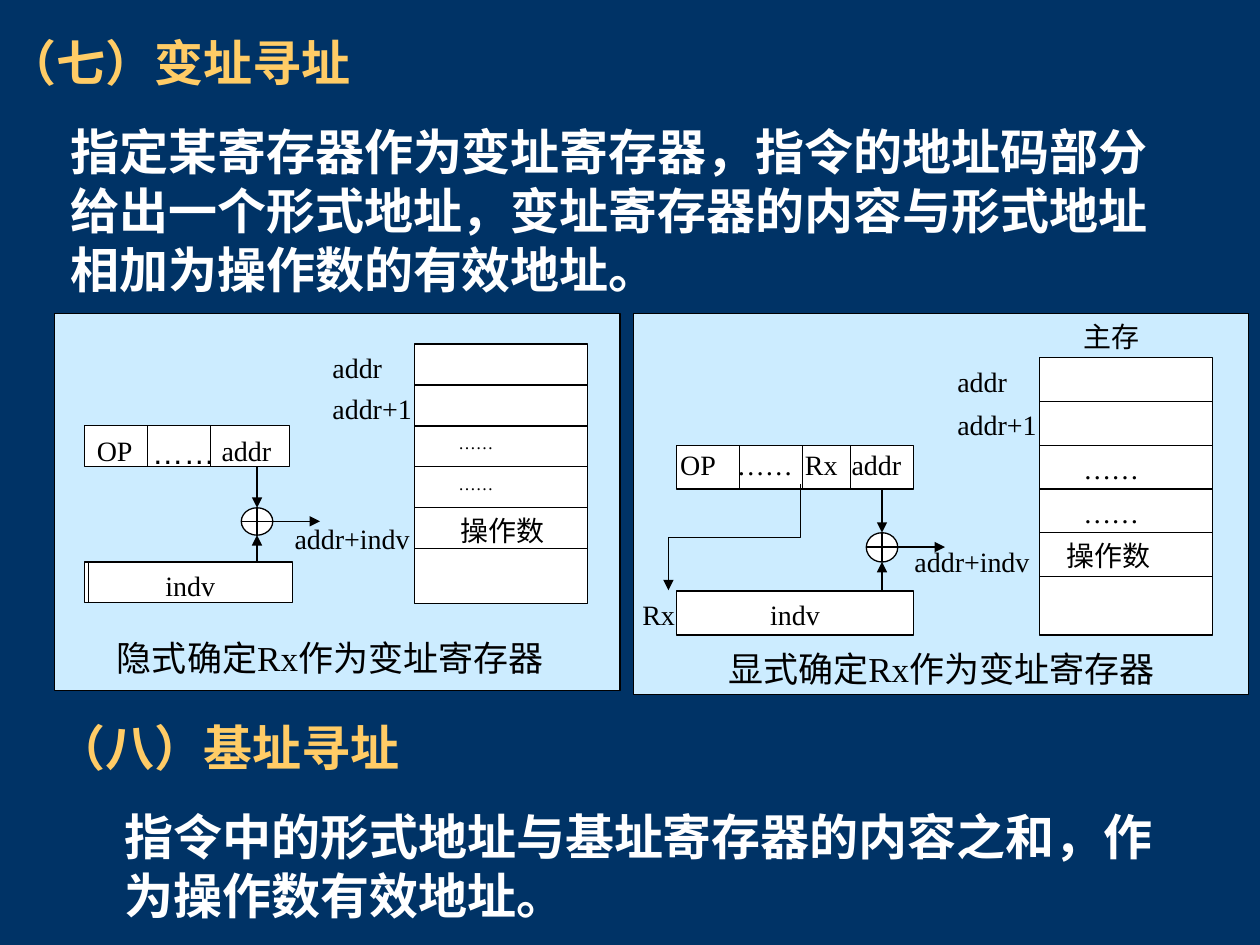
from dataclasses import dataclass
from typing import NamedTuple

from pptx import Presentation
from pptx.dml.color import RGBColor
from pptx.enum.shapes import MSO_CONNECTOR, MSO_SHAPE
from pptx.enum.text import MSO_ANCHOR, MSO_AUTO_SIZE, PP_ALIGN
from pptx.oxml.ns import qn
from pptx.util import Inches, Pt
from lxml import etree

RECT, OVAL = MSO_SHAPE.RECTANGLE, MSO_SHAPE.OVAL
LINE, ELBOW = MSO_CONNECTOR.STRAIGHT, MSO_CONNECTOR.ELBOW
LEFT, MID = PP_ALIGN.LEFT, PP_ALIGN.CENTER
TOP, FIXED = MSO_ANCHOR.TOP, MSO_AUTO_SIZE.NONE

NAVY, GOLD, PALE, WHITE, BLACK = "003366", "FFCC66", "CCECFF", "FFFFFF", "000000"
SANS, SERIF, ARIAL = "Noto Sans CJK JP", "Times New Roman", "Arial"
COL = 0.125
MEM = 11 * COL


class Field(NamedTuple):
    x: float
    text: str
    size: float = 16
    face: str = SERIF


class Spot(NamedTuple):
    x: float
    y: float


class Box(NamedTuple):
    x: float
    y: float
    w: float
    h: float


@dataclass
class Panel:
    frame: Box
    mem: Spot
    tall: float
    row: float
    code: float
    wide: float
    cuts: list[float]
    top: float
    fields: list[Field]
    index: Box
    hub: float
    total: Spot
    dots: float
    size: float
    data: float
    note: str
    foot: Spot

    def y(self, rows: float) -> float:
        return self.mem.y + rows * self.row


def paint(code: str) -> RGBColor:
    return RGBColor.from_string(code)


def write(frame, text: str, size: float = 16, face: str = SERIF,
          color: str = BLACK, bold: bool = False, align=LEFT,
          more: bool = False, left: float = 0, pitch: float | None = None,
          before: float = 0) -> None:
    frame.word_wrap = True
    frame.auto_size = FIXED
    frame.vertical_anchor = TOP
    para = frame.add_paragraph() if more else frame.paragraphs[0]
    props = para._p.get_or_add_pPr()
    props.set("marL", str(Inches(left)))
    props.set("indent", "0")
    para.alignment = align
    para.space_before = Pt(before)
    if pitch:
        para.line_spacing = Pt(pitch)
    etree.SubElement(props, qn("a:buNone"))
    run = para.add_run()
    run.text = text
    font = run.font
    font.size, font.bold, font.name = Pt(size), bold, face
    font.color.rgb = paint(color)
    east = etree.SubElement(run._r.get_or_add_rPr(), qn("a:ea"))
    east.set("typeface", face if "…" in text else SANS)


def label(host, box: Box, text: str, **style) -> None:
    write(host.add_textbox(*map(Inches, box)).text_frame, text, **style)


def block(host, box: Box, fill: str = WHITE, kind=RECT):
    shape = host.add_shape(kind, *map(Inches, box))
    shape.shadow.inherit = False
    shape.fill.solid()
    shape.fill.fore_color.rgb = paint(fill)
    shape.line.color.rgb = paint(BLACK)
    shape.line.width = Pt(0.75)
    return shape


def link(host, start: Spot, end: Spot, arrow: bool = False, kind=LINE, turn: int = 0) -> None:
    wire = host.add_connector(kind, *map(Inches, (*start, *end)))
    wire.line.color.rgb = paint(BLACK)
    wire.line.width = Pt(0.75)
    props = wire._element.spPr
    if turn:
        props.find(qn("a:xfrm")).set("rot", str(turn * 60000))
    if arrow:
        etree.SubElement(props.find(qn("a:ln")), qn("a:tailEnd"), type="triangle")
    etree.SubElement(props, qn("a:effectLst"))


def draw(host, p: Panel) -> None:
    x, y = p.mem.x, p.y
    block(host, p.frame, PALE)
    block(host, Box(*p.mem, MEM, p.tall))
    for row in range(1, 6):
        link(host, Spot(x, y(row)), Spot(x + MEM, y(row)))
    for row, text in enumerate(("addr", "addr+1")):
        label(host, Box(x - 6 * COL, y(row), 7 * COL, p.row), text)
    for row in (2, 3):
        label(host, Box(p.dots, y(row), 8 * COL, p.row), "……", size=p.size)
    label(host, Box(p.data, y(4), 9 * COL, p.row), "操作数")

    block(host, Box(p.code, y(2), p.wide, p.row))
    for cut in p.cuts:
        link(host, Spot(cut, y(2)), Spot(cut, y(3)))
    for f in p.fields:
        label(host, Box(f.x, p.top, 6 * COL, p.row), f.text, size=f.size, face=f.face)

    if p.index.x != p.code:
        block(host, Box(p.code, p.index.y, p.wide, p.index.h))
    write(block(host, p.index).text_frame, "indv", align=MID)

    hub, high, mid, low, base = p.hub, y(4), y(4.33), y(4.67), y(5.33)
    block(host, Box(hub - COL, high, 2 * COL, low - high), kind=OVAL)
    link(host, Spot(hub - COL, mid), Spot(hub + COL, mid))
    link(host, Spot(hub, high), Spot(hub, low))
    link(host, Spot(hub, y(3)), Spot(hub, high), arrow=True)
    link(host, Spot(hub, base), Spot(hub, low), arrow=True)
    link(host, Spot(hub + COL, mid), Spot(hub + 4 * COL, mid), arrow=True)
    label(host, Box(*p.total, 12 * COL, 3 * COL), "addr+indv")
    label(host, Box(*p.foot, 3.94, 0.17), p.note, size=20)


def place(shape, box: Box):
    shape.left, shape.top, shape.width, shape.height = map(Inches, box)
    return shape.text_frame


IMPLIED = Panel(
    frame=Box(0.43, 2.49, 4.49, 2.99), mem=Spot(3.29, 2.73), tall=2.06, row=0.325,
    code=0.67, wide=1.63, cuts=[1.17, 1.67], top=3.39,
    fields=[Field(0.67, "OP"), Field(1.11, "……", 18, ARIAL), Field(1.66, "addr")],
    index=Box(0.7, 4.46, 1.62, 0.32), hub=2.04, total=Spot(2.24, 4.09),
    dots=3.54, size=10, data=3.56,
    note="隐式确定Rx作为变址寄存器", foot=Spot(0.83, 5))

STATED = Panel(
    frame=Box(5.03, 2.49, 4.88, 3.02), mem=Spot(8.25, 2.84), tall=2.2, row=0.347,
    code=5.37, wide=1.88, cuts=[5.87, 6.37, 6.75], top=3.5,
    fields=[Field(5.3, "OP"), Field(5.75, "……"), Field(6.29, "Rx"), Field(6.66, "addr")],
    index=Box(5.37, 4.69, 1.88, 0.35), hub=7, total=Spot(7.16, 4.27),
    dots=8.5, size=16, data=8.37,
    note="显式确定Rx作为变址寄存器", foot=Spot(5.68, 5.09))


def main() -> None:
    deck = Presentation()
    deck.slide_width, deck.slide_height = Inches(10), Inches(7.5)
    slide = deck.slides.add_slide(deck.slide_layouts[3])
    slide.background.fill.solid()
    slide.background.fill.fore_color.rgb = paint(NAVY)

    head = dict(size=28, face=SANS, bold=True, color=GOLD, pitch=33.7)
    body = head | dict(color=WHITE)
    title, intro, base = slide.placeholders
    write(place(title, Box(-0.04, 0.21, 9.25, 0.6)), "（七）变址寻址", **head)
    write(place(intro, Box(0.46, 0.91, 8.8, 1.54)),
          "指定某寄存器作为变址寄存器，指令的地址码部分给出一个形式地址，"
          "变址寄存器的内容与形式地址相加为操作数的有效地址。", **body)
    frame = place(base, Box(0.35, 5.64, 9.25, 1.8))
    write(frame, "（八）基址寻址", **head)
    write(frame, "指令中的形式地址与基址寄存器的内容之和，作为操作数有效地址。",
          more=True, left=0.54, before=17.5, **body)

    for panel in (IMPLIED, STATED):
        host = slide.shapes.add_group_shape().shapes
        draw(host, panel)
    label(host, Box(8.5, 2.49, 7 * COL, 0.35), "主存")
    label(host, Box(5, 4.69, 5 * COL, 0.35), "Rx")
    link(host, Spot(5.41, 3.74), Spot(6.25, 4.79), arrow=True, kind=ELBOW, turn=90)
    deck.save("out.pptx")


if __name__ == "__main__":
    main()
